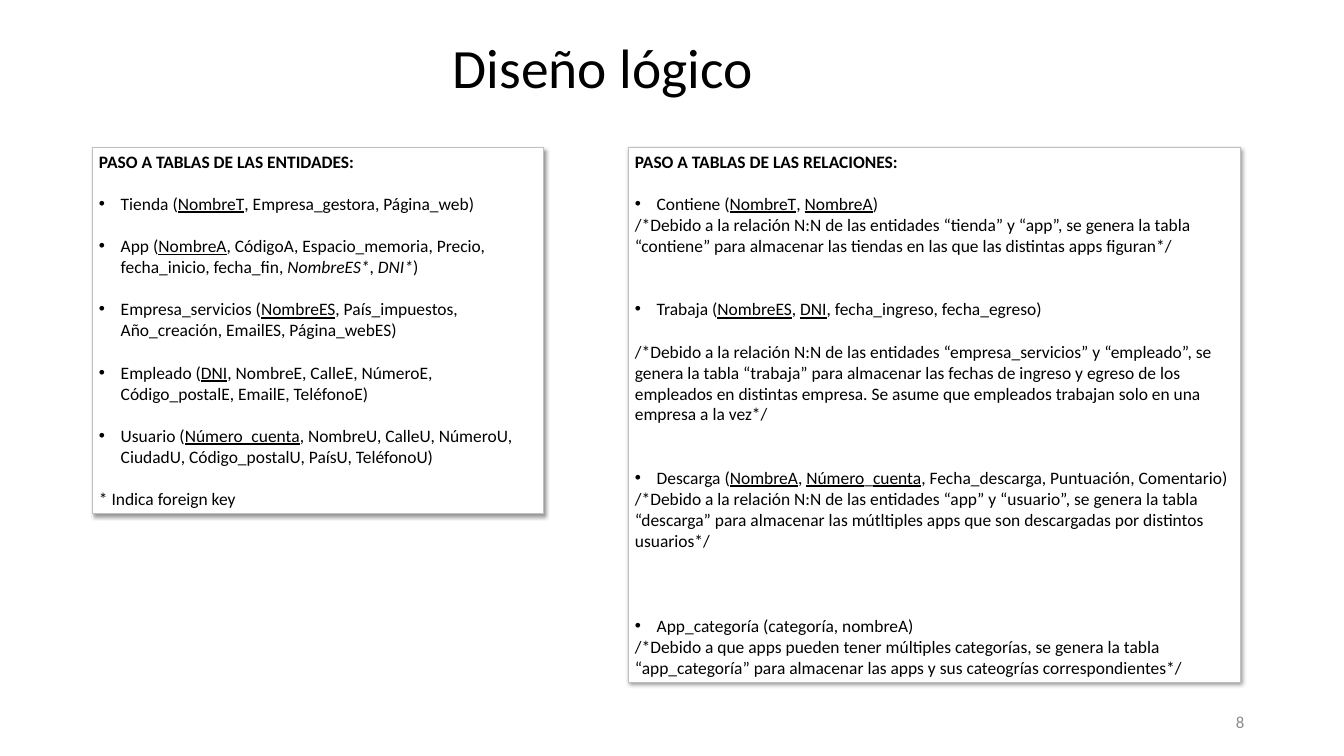
from dataclasses import dataclass

from lxml import etree
from pptx import Presentation
from pptx.dml.color import RGBColor
from pptx.enum.shapes import MSO_SHAPE
from pptx.enum.text import MSO_ANCHOR, MSO_AUTO_SIZE, PP_ALIGN
from pptx.oxml.ns import qn
from pptx.util import Pt

RECTANGLE = MSO_SHAPE.RECTANGLE
TOP, MIDDLE = MSO_ANCHOR.TOP, MSO_ANCHOR.MIDDLE
LEFT, RIGHT = PP_ALIGN.LEFT, PP_ALIGN.RIGHT
NO_FIT, GROW = MSO_AUTO_SIZE.NONE, MSO_AUTO_SIZE.SHAPE_TO_FIT_TEXT
TITLE_ONLY = 5


@dataclass(frozen=True)
class Theme:
    font: str = "Calibri"
    ink: RGBColor = RGBColor(0, 0, 0)
    paper: RGBColor = RGBColor(255, 255, 255)
    border: RGBColor = RGBColor(0xBF, 0xBF, 0xBF)
    muted: RGBColor = RGBColor(0x8C, 0x8C, 0x8C)
    title_size: float = 57.2
    body_size: float = 18
    number_size: float = 17.3
    line_height: float = 21.97
    indent: float = 22.5


THEME = Theme()


@dataclass(frozen=True)
class Span:
    text: str
    underline: bool = False
    italic: bool = False
    bold: bool = False


@dataclass(frozen=True)
class Entry:
    """A paragraph, with the number of lines left free above it."""
    spans: tuple
    gap: int = 0
    bullet: bool = False


def key(text):
    return Span(text, underline=True)


def foreign(text):
    return Span(text, italic=True)


def heading(text):
    return Entry((Span(text, bold=True),))


def table(*parts, gap=1):
    spans = tuple(Span(part) if isinstance(part, str) else part for part in parts)
    return Entry(spans, gap, bullet=True)


def note(text, gap=0):
    return Entry((Span(text),), gap)


ENTITIES = [
    heading("PASO A TABLAS DE LAS ENTIDADES:"),
    table("Tienda (", key("NombreT"), ", Empresa_gestora, Página_web)"),
    table("App (", key("NombreA"),
          ", CódigoA, Espacio_memoria, Precio, fecha_inicio, fecha_fin, ",
          foreign("NombreES*"), ", ", foreign("DNI*"), ")"),
    table("Empresa_servicios (", key("NombreES"),
          ", País_impuestos, Año_creación, EmailES, Página_webES)"),
    table("Empleado (", key("DNI"),
          ", NombreE, CalleE, NúmeroE, Código_postalE, EmailE, TeléfonoE)"),
    table("Usuario (", key("Número_cuenta"),
          ", NombreU, CalleU, NúmeroU, CiudadU, Código_postalU, PaísU, TeléfonoU)"),
    note("* Indica foreign key", gap=1),
]

RELATIONS = [
    heading("PASO A TABLAS DE LAS RELACIONES:"),
    table("Contiene (", key("NombreT"), ", ", key("NombreA"), ")"),
    note("/*Debido a la relación N:N de las entidades “tienda” y “app”, se genera la tabla "
         "“contiene” para almacenar las tiendas en las que las distintas apps figuran*/"),
    table("Trabaja (", key("NombreES"), ", ", key("DNI"),
          ", fecha_ingreso, fecha_egreso)", gap=2),
    note("/*Debido a la relación N:N de las entidades “empresa_servicios” y “empleado”, se "
         "genera la tabla “trabaja” para almacenar las fechas de ingreso y egreso de los "
         "empleados en distintas empresa. Se asume que empleados trabajan solo en una "
         "empresa a la vez*/", gap=1),
    table("Descarga (", key("NombreA"), ", ", key("Número"), "_", key("cuenta"),
          ", Fecha_descarga, Puntuación, Comentario)", gap=2),
    note("/*Debido a la relación N:N de las entidades “app” y “usuario”, se genera la tabla "
         "“descarga” para almacenar las mútltiples apps que son descargadas por distintos "
         "usuarios*/"),
    table("App_categoría (categoría, nombreA)", gap=3),
    note("/*Debido a que apps pueden tener múltiples categorías, se genera la tabla "
         "“app_categoría” para almacenar las apps y sus cateogrías correspondientes*/"),
]


def style(font, size, color):
    font.name, font.size = THEME.font, Pt(size)
    font.color.rgb = color


def add_shadow(panel):
    panel.shadow.inherit = False
    effects = panel._element.spPr.find(qn("a:effectLst"))
    outer = etree.SubElement(effects, qn("a:outerShdw"), blurRad=str(Pt(4)),
                             dist=str(Pt(3)), dir=str(45 * 60000), algn="tl", rotWithShape="0")
    black = etree.SubElement(outer, qn("a:srgbClr"), val=str(THEME.ink))
    etree.SubElement(black, qn("a:alpha"), val="40000")


def add_bullet(paragraph):
    properties = paragraph._p.get_or_add_pPr()
    properties.set("marL", str(Pt(THEME.indent)))
    properties.set("indent", str(-Pt(THEME.indent)))
    etree.SubElement(properties, qn("a:buFont"), typeface="Arial")
    etree.SubElement(properties, qn("a:buChar"), char="•")


def write_entry(paragraph, entry):
    paragraph.alignment = LEFT
    paragraph.space_before = Pt(entry.gap * THEME.line_height)
    if entry.bullet:
        add_bullet(paragraph)
    for span in entry.spans:
        run = paragraph.add_run()
        run.text = span.text
        style(run.font, THEME.body_size, THEME.ink)
        run.font.bold, run.font.italic = span.bold, span.italic
        run.font.underline = span.underline


def add_title(slide, left, top, width, height):
    title = slide.shapes.title
    title.left, title.top, title.width, title.height = map(Pt, (left, top, width, height))
    frame = title.text_frame
    frame.text = "Diseño lógico"
    frame.auto_size, frame.vertical_anchor = NO_FIT, MIDDLE
    line = frame.paragraphs[0]
    line.alignment, line.line_spacing = LEFT, 0.9
    style(line.runs[0].font, THEME.title_size, THEME.ink)


def add_panel(slide, entries, left, top, width, height):
    panel = slide.shapes.add_shape(RECTANGLE, *map(Pt, (left, top, width, height)))
    panel.fill.solid()
    panel.fill.fore_color.rgb = THEME.paper
    panel.line.color.rgb = THEME.border
    panel.line.width = Pt(0.75)
    add_shadow(panel)
    frame = panel.text_frame
    frame.word_wrap, frame.auto_size, frame.vertical_anchor = True, GROW, TOP
    for index, entry in enumerate(entries):
        write_entry(frame.add_paragraph() if index else frame.paragraphs[0], entry)


def add_page_number(slide, left, top, width, height):
    number = slide.shapes.add_textbox(*map(Pt, (left, top, width, height)))
    frame = number.text_frame
    frame.text = "8"
    frame.word_wrap, frame.vertical_anchor = True, MIDDLE
    line = frame.paragraphs[0]
    line.alignment = RIGHT
    style(line.runs[0].font, THEME.number_size, THEME.muted)


def main():
    deck = Presentation()
    deck.slide_width, deck.slide_height = Pt(1386.72), Pt(779.76)
    slide = deck.slides.add_slide(deck.slide_layouts[TITLE_ONLY])

    # Title
    add_title(slide, 460, 42, 466, 62)

    # Entities on the left, relations on the right
    panel_top = 152
    add_panel(slide, ENTITIES, 95, panel_top, 466, 378)
    add_panel(slide, RELATIONS, 648, panel_top, 632, 552)

    # Page number
    add_page_number(slide, 979, 723, 312, 42)

    deck.save("out.pptx")


if __name__ == "__main__":
    main()
